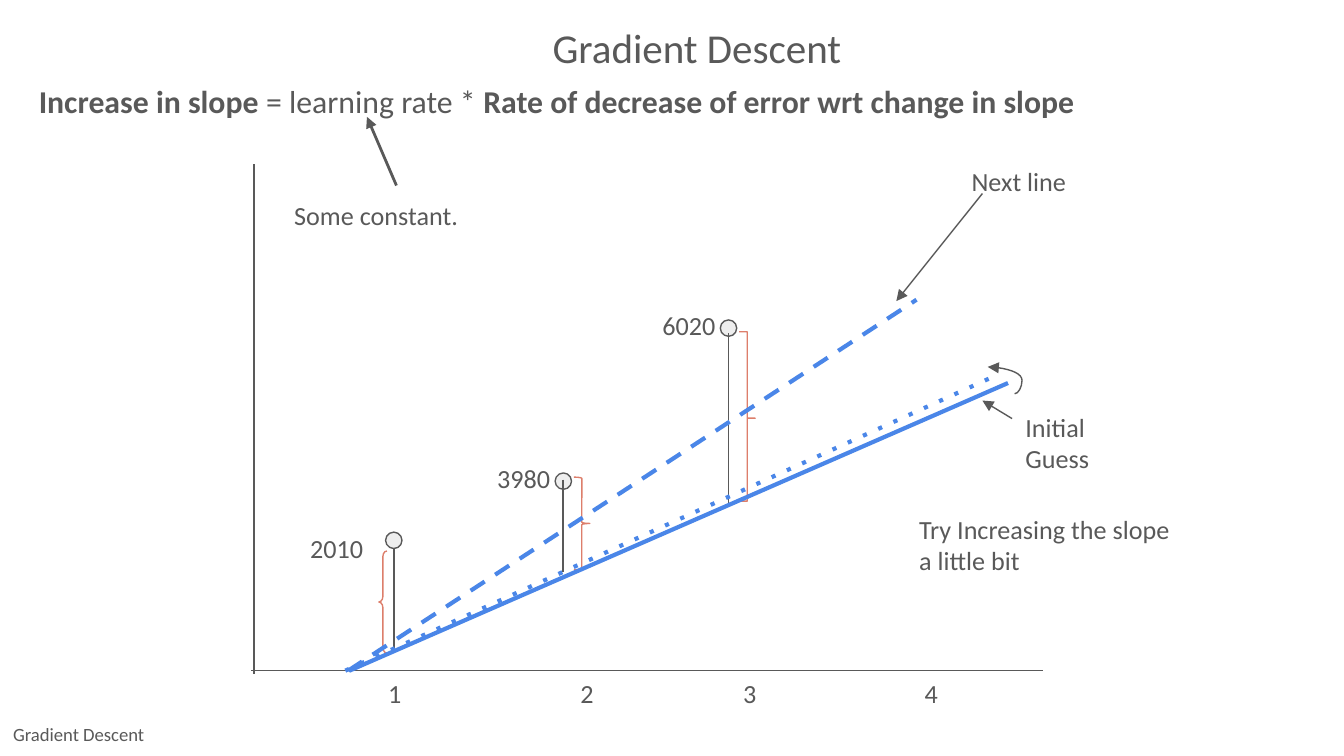
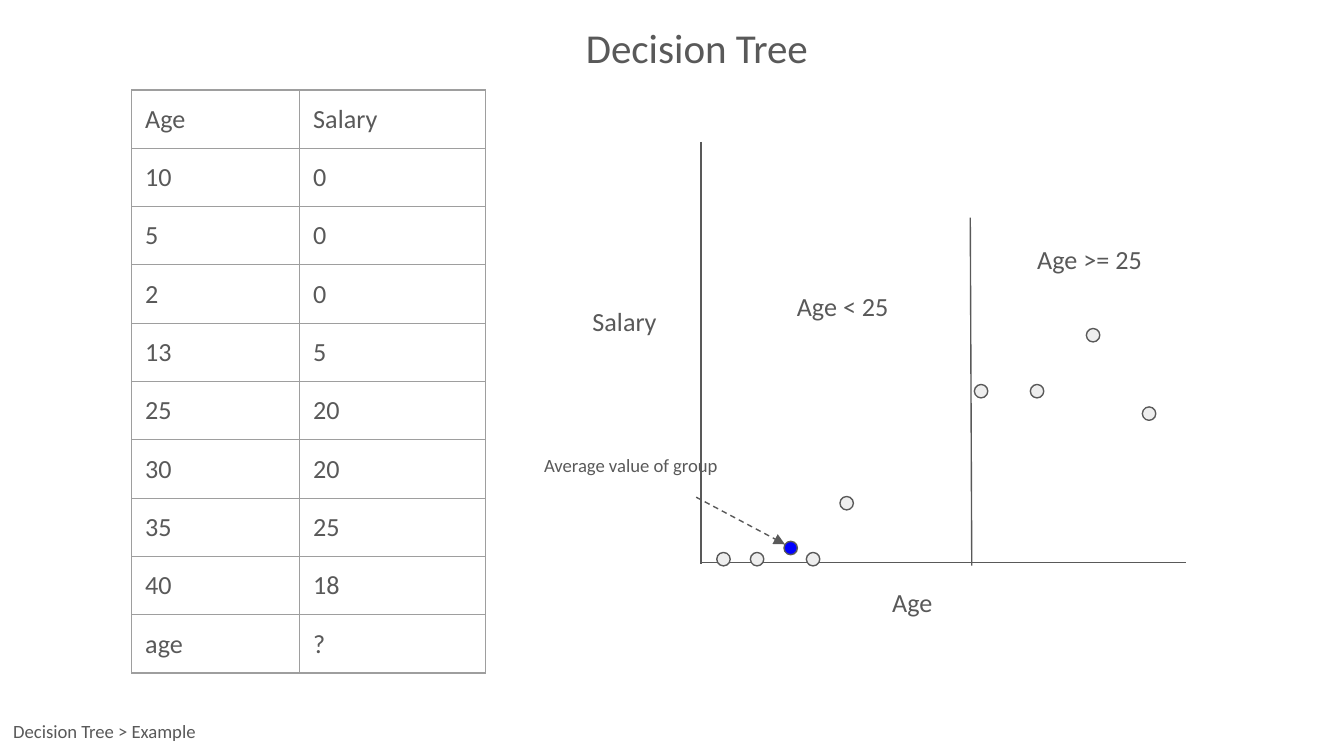
from dataclasses import dataclass

from lxml.etree import SubElement
from pptx import Presentation
from pptx.dml.color import RGBColor
from pptx.enum.shapes import MSO_CONNECTOR as Conn, MSO_SHAPE as Shape
from pptx.enum.text import MSO_ANCHOR as Anchor, PP_ALIGN as Align
from pptx.oxml.ns import qn
from pptx.util import Pt


@dataclass(frozen=True)
class Theme:
    font: str = "Calibri"
    ink: str = "595959"
    dot: str = "EEEEEE"
    line: str = "4A86E8"
    brace: str = "DD7E6B"
    average: str = "0000FF"
    border: str = "9E9E9E"
    title: float = 22
    formula: float = 17
    body: float = 14
    small: float = 10
    thin: float = 0.75
    inset: float = 7.2


@dataclass(frozen=True)
class Box:
    x: float
    y: float
    w: float
    h: float

    def at(self, x, y):
        return Pt(self.x + x), Pt(self.y + y)

    def sub(self, x, y, w, h):
        return Box(self.x + x, self.y + y, w, h)

    def emu(self):
        return Pt(self.x), Pt(self.y), Pt(self.w), Pt(self.h)


T = Theme()
SLIDE = Box(0, 0, 720, 405)
TITLE = Box(70.6, 0, 605.5, 41.8)
SALARIES = [("Age", "Salary"), ("10", "0"), ("5", "0"), ("2", "0"), ("13", "5"),
            ("25", "20"), ("30", "20"), ("35", "25"), ("40", "18"), ("age", "?")]


def rgb(color):
    return RGBColor.from_string(color)


def style(p, size):
    p.font.name = T.font
    p.font.size = Pt(size)
    p.font.color.rgb = rgb(T.ink)


def set_insets(holder):
    holder.margin_left = holder.margin_right = Pt(T.inset)
    holder.margin_top = holder.margin_bottom = Pt(T.inset)


def add_text(s, box, text, size=T.body, anchor=Anchor.TOP):
    sp = s.shapes.add_textbox(*box.emu())
    tf = sp.text_frame
    tf.word_wrap = True
    tf.vertical_anchor = anchor
    set_insets(tf)
    p = tf.paragraphs[0]
    style(p, size)
    for run_text, bold in [(text, False)] if isinstance(text, str) else text:
        r = p.add_run()
        r.text = run_text
        if bold:
            r.font.bold = True
    return sp


def add_line(s, box, start, end, color=T.ink, width=T.thin, dash=None,
             arrow=False, kind=Conn.STRAIGHT):
    c = s.shapes.add_connector(kind, *box.at(*start), *box.at(*end))
    c.line.color.rgb = rgb(color)
    c.line.width = Pt(width)
    ln = c.line._get_or_add_ln()
    if dash:
        SubElement(ln, qn("a:prstDash"), val=dash)
    if arrow:
        SubElement(ln, qn("a:tailEnd"), type="triangle")
    SubElement(c._element.spPr, qn("a:effectLst"))
    return c


def add_shape(s, kind, box, line, fill=None):
    sp = s.shapes.add_shape(kind, *box.emu())
    sp.shadow.inherit = False
    sp.line.color.rgb = rgb(line)
    sp.line.width = Pt(T.thin)
    if fill:
        sp.fill.solid()
        sp.fill.fore_color.rgb = rgb(fill)
    else:
        sp.fill.background()
    return sp


def add_frame(prs, title, footer, footer_box, footer_anchor):
    s = prs.slides.add_slide(prs.slide_layouts[6])
    p = add_text(s, TITLE, title, T.title).text_frame.paragraphs[0]
    p.alignment = Align.CENTER
    p.line_spacing = 1.18
    add_text(s, footer_box, footer, T.small, footer_anchor)
    return s


def add_formula(s, box):
    add_text(s, box, [("Increase in slope", True), (" = learning rate * ", False),
                      ("Rate of decrease of error wrt change in slope", True)], T.formula)
    add_line(s, box, (198.7, 62.7), (182.9, 25.9), width=1.5, arrow=True)
    add_text(s, box.sub(136.8, 62.7, 123.8, 33.1), "Some constant.")


def add_error_plot(s, box):
    add_line(s, box, (0, 273), (0, 0))
    add_line(s, box, (-1.4, 271.3), (422.7, 271.3))

    for tick, x in enumerate((64.9, 167.8, 255, 352.2), 1):
        add_text(s, box.sub(x, 272, 20.2, 22.3), str(tick), anchor=Anchor.MIDDLE)

    observations = [
        ("2010", (23.1, 189.9, 46.1), (70.6, 197.1), (75, 205.8, 260.5)),
        ("3980", (123.2, 152.5, 43.2), (161.4, 165.4), (165.7, 169, 218.7)),
        ("6020", (211.8, 70.4, 43.2), (249.9, 83.4), (254.2, 90.6, 181.3)),
    ]
    for value, label, dot, (x, top, bottom) in observations:
        add_shape(s, Shape.OVAL, box.sub(*dot, 8.8, 8.8), T.ink, T.dot)
        add_text(s, box.sub(*label, 22.3), value)
        add_line(s, box, (x, top), (x, bottom))

    braces = [
        (Shape.LEFT_BRACE, (67, 207.2, 4.3, 54.7), (0.7, 0.5)),
        (Shape.RIGHT_BRACE, (171.4, 167.6, 8.6, 49.7), (0.08, 0.5)),
        (Shape.RIGHT_BRACE, (260, 89.8, 8.6, 90.7), (0, 0.51)),
    ]
    for kind, place, adjustments in braces:
        brace = add_shape(s, kind, box.sub(*place), T.brace)
        for i, value in enumerate(adjustments):
            brace.adjustments[i] = value

    guesses = [((51.2, 271.3), (404, 117.2), None),
               ((49, 271.3), (399.7, 112.2), "dot"),
               ((50.5, 271.3), (355, 72.6), "dash")]
    for start, end, dash in guesses:
        add_line(s, box, start, end, T.line, 2.25, dash)

    initial = add_text(s, box.sub(406.2, 125.1, 78.5, 22.3), "Initial Guess")
    pointer = add_line(s, box, (406.2, 136.2), (390.3, 126.6), arrow=True)
    pointer.begin_connect(initial, 1)
    turn = add_line(s, box, (407.6, 123), (393.2, 108.6), arrow=True, kind=Conn.CURVE)
    guides = turn._element.spPr.find(qn("a:prstGeom")).get_or_add_avLst()
    SubElement(guides, qn("a:gd"), name="adj1", fmla="val -27600")
    add_text(s, box.sub(349.3, 179.8, 149.8, 33.8), "Try Increasing the slope a little bit")
    add_text(s, box.sub(377.4, -6.6, 78.5, 22.3), "Next line")
    add_line(s, box, (390.3, 15.7), (344.2, 73.3), arrow=True)


def add_borders(cell):
    tc_pr = cell._tc.get_or_add_tcPr()
    for side in "LRTB":
        ln = SubElement(tc_pr, qn(f"a:ln{side}"), w=str(Pt(T.thin)))
        SubElement(SubElement(ln, qn("a:solidFill")), qn("a:srgbClr"), val=T.border)


def add_salary_table(s, box):
    table = s.shapes.add_table(len(SALARIES), 2, *box.emu()).table
    table.first_row = table.horz_banding = False
    for column, width in zip(table.columns, (90, 99.6)):
        column.width = Pt(width)
    for row, values in zip(table.rows, SALARIES):
        row.height = Pt(box.h / len(SALARIES))
        for cell, value in zip(row.cells, values):
            add_borders(cell)
            cell.fill.background()
            set_insets(cell)
            p = cell.text_frame.paragraphs[0]
            style(p, T.body)
            p.add_run().text = value


def add_age_plot(s, box):
    add_line(s, box, (0, 0), (0, box.h))
    add_line(s, box, (0, box.h - 0.5), (box.w, box.h - 0.5))

    size, year = 7.2, 6
    rises = {"0": 0, "5": 30, "20": 90, "25": 120, "18": 78}
    dots = [(int(age), rises[salary], T.dot) for age, salary in SALARIES[1:-1]]
    for age, rise, fill in dots + [(8, 6, T.average)]:
        place = box.sub(age * year - size / 2, 220 - rise, size, size)
        add_shape(s, Shape.FLOWCHART_CONNECTOR, place, T.ink, fill)

    add_line(s, box, (144.2, 40.6), (145, 227.1))
    add_line(s, box, (-2.6, 190.4), (44.9, 215.6), dash="dash", arrow=True)
    labels = [("Salary", (-65.3, 80.2, 59, 41), T.body),
              ("Age", (95.3, 230.7, 59, 41), T.body),
              ("Age < 25", (44.2, 72.3, 300, 41), T.body),
              ("Age >= 25", (173, 47.1, 82.1, 25.2), T.body),
              ("Average value of group", (-91.2, 160.9, 151.2, 25.2), T.small)]
    for text, place, font_size in labels:
        add_text(s, box.sub(*place), text, font_size)


def build_gradient_slide(prs):
    s = add_frame(prs, "Gradient Descent", "Gradient Descent",
                  Box(0, 382.3, 88.6, 21.6), Anchor.MIDDLE)
    add_formula(s, Box(13.7, 36.7, 670.3, 30.2))
    add_error_plot(s, Box(136, 88, 424, 273))


def build_tree_slide(prs):
    s = add_frame(prs, "Decision Tree", "Decision Tree > Example",
                  Box(0, 379.4, 169.2, 21.6), Anchor.TOP)
    add_age_plot(s, Box(375.6, 76, 260, 226))
    add_salary_table(s, Box(70.6, 48.2, 189.6, 302))


def main():
    prs = Presentation()
    prs.slide_width, prs.slide_height = Pt(SLIDE.w), Pt(SLIDE.h)
    build_gradient_slide(prs)
    build_tree_slide(prs)
    prs.save("out.pptx")


if __name__ == "__main__":
    main()
